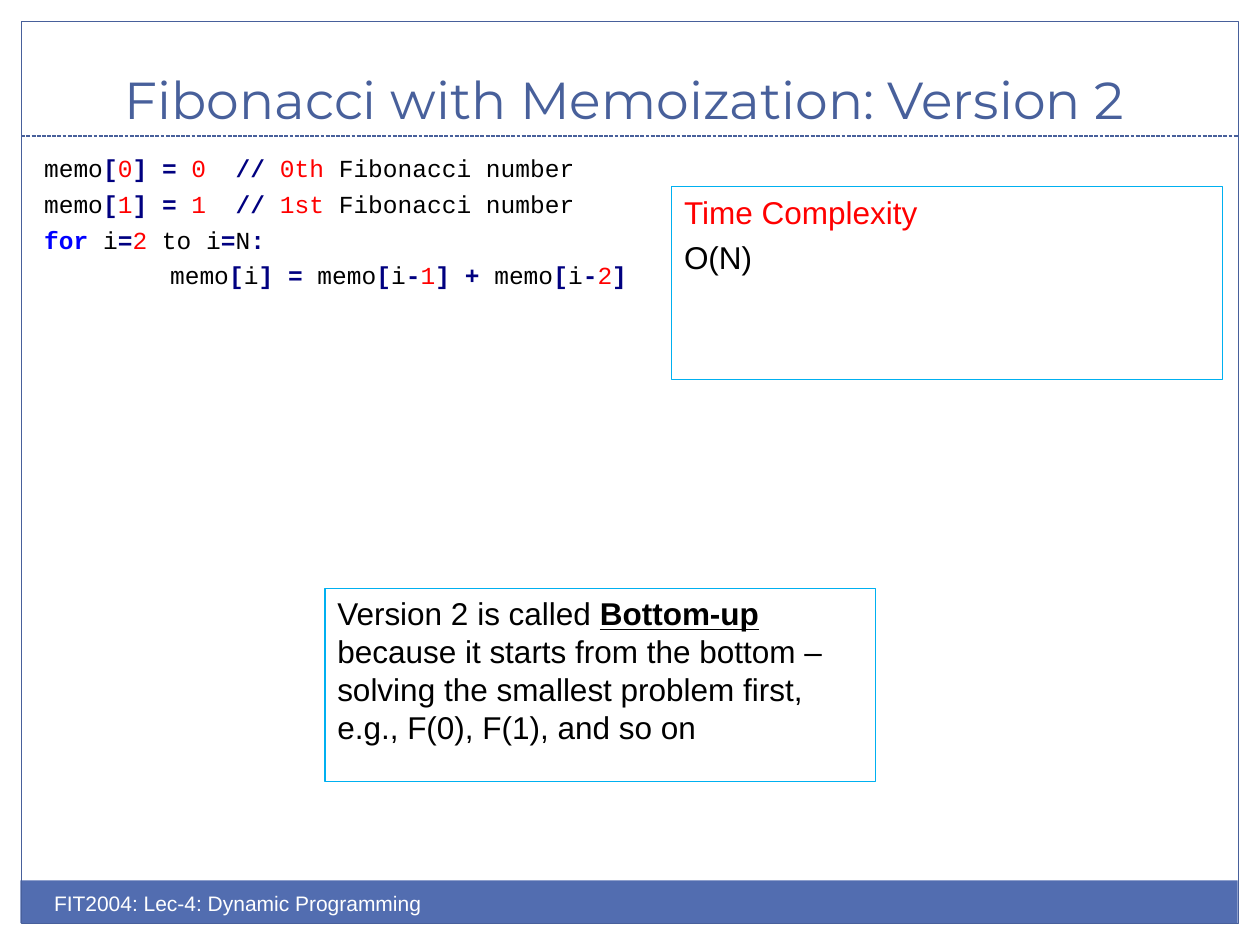
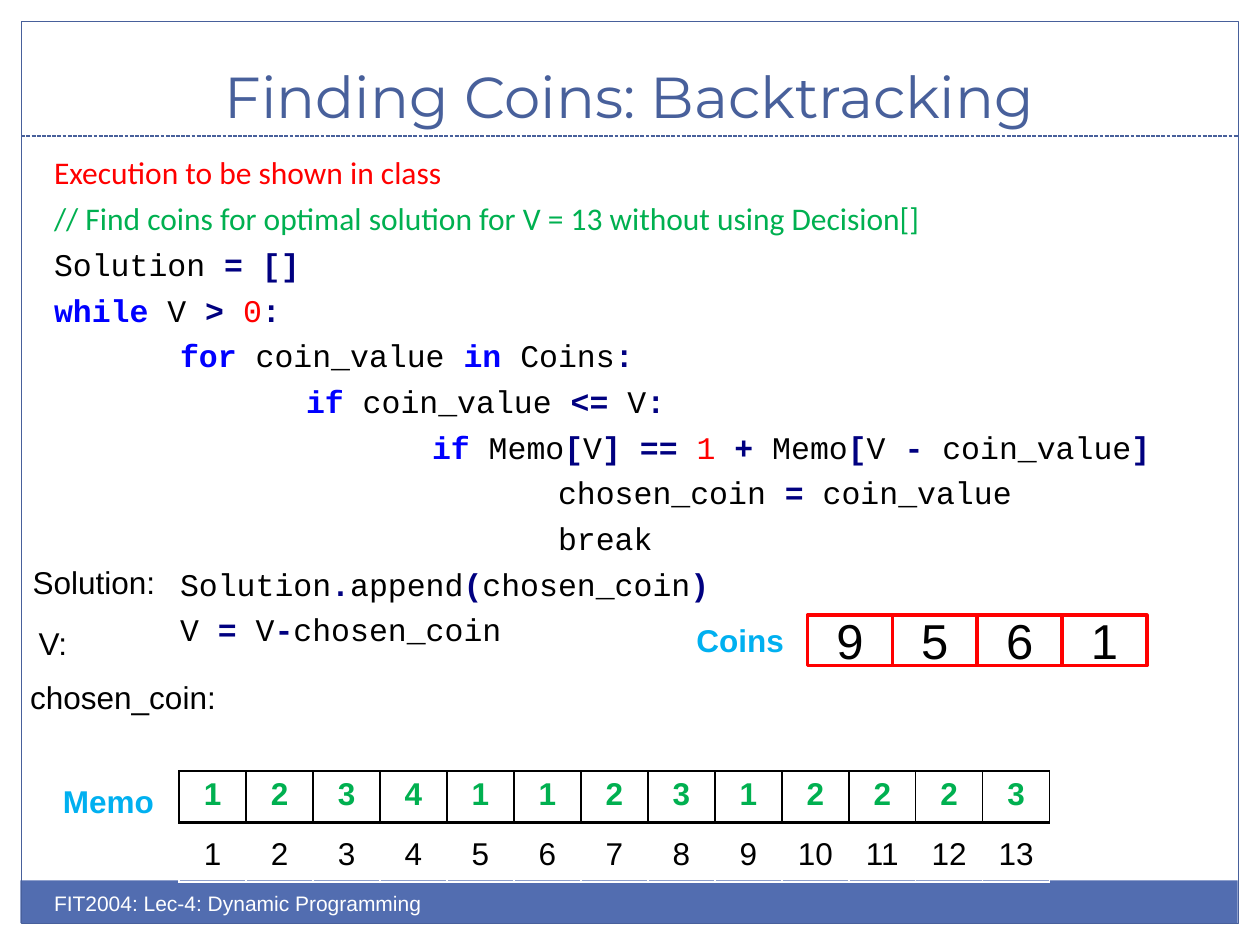
from itertools import groupby

from lxml.etree import SubElement
from pptx import Presentation
from pptx.dml.color import RGBColor
from pptx.enum.dml import MSO_LINE_DASH_STYLE as Dash
from pptx.enum.shapes import MSO_CONNECTOR as Connector, MSO_SHAPE as Shape
from pptx.enum.text import MSO_ANCHOR as Anchor, PP_ALIGN as Align
from pptx.oxml.ns import qn
from pptx.util import Cm, Pt

COLORS = {
    "band": "526DB0", "frame": "48609B", "white": "FFFFFF", "black": "000000",
    "operator": "000080", "keyword": "0000FF", "red": "FF0000",
    "green": "00B050", "cyan": "00B0F0",
}
KEYWORDS = {"for", "while", "in", "if"}
GAP = 0.25

BODY = {"name": "Arial", "size": Pt(18), "color": "black"}
ALERT = BODY | {"color": "red"}
STRONG = BODY | {"bold": True, "underline": True}
LABEL = BODY | {"color": "cyan", "bold": True}
MEMO = BODY | {"color": "green", "bold": True}
COIN = BODY | {"size": Pt(28)}
FOOTER = BODY | {"size": Pt(12), "color": "white"}
TITLE = {"name": "Montserrat", "color": "frame"}
REMARK = {"name": "Calibri", "size": Pt(18)}
CODE = {"name": "Courier New", "color": "black"}

FIBONACCI = [
    (0, "memo[0] = 0  // 0th Fibonacci number"),
    (0, "memo[1] = 1  // 1st Fibonacci number"),
    (0, "for i=2 to i=N:"),
    (1, "memo[i] = memo[i-1] + memo[i-2]"),
]
BACKTRACKING = [
    (0, "Solution = []"),
    (0, "while V > 0:"),
    (1, "for coin_value in Coins:"),
    (2, "if coin_value <= V:"),
    (3, "if Memo[V] == 1 + Memo[V - coin_value]"),
    (4, "chosen_coin = coin_value"),
    (4, "break"),
    (1, "Solution.append(chosen_coin)"),
    (1, "V = V-chosen_coin"),
]
REMARKS = [
    ("Execution to be shown in class", "red"),
    ("// Find coins for optimal solution for V = 13 without using Decision[]", "green"),
]
COINS = [9, 5, 6, 1]
MEMO_VALUES = [1, 2, 3, 4, 1, 1, 2, 3, 1, 2, 2, 2, 3]
LABELS = [
    ("Memo", LABEL, 1.02, 15.65, 2.45),
    ("Coins", LABEL, 13.79, 12.4, 2.4),
    ("Solution:", BODY, 0.41, 11.23, 3.2),
    ("V:", BODY, 0.53, 12.45, 1.3),
    ("chosen_coin:", BODY, 0.36, 13.54, 4.4),
]


def rgb(name):
    return RGBColor.from_string(COLORS[name])


def box(*lengths):
    return [Cm(length) for length in lengths]


def add_runs(paragraph, runs):
    for text, style in runs:
        run = paragraph.add_run()
        run.text = text
        for attribute, value in style.items():
            if attribute == "color":
                run.font.color.rgb = rgb(value)
            else:
                setattr(run.font, attribute, value)


def write(frame, lines, align=Align.LEFT, anchor=Anchor.TOP):
    frame.word_wrap = True
    frame.vertical_anchor = anchor
    for number, (depth, runs) in enumerate(lines):
        paragraph = frame.add_paragraph() if number else frame.paragraphs[0]
        paragraph.alignment = align
        if number:
            paragraph.space_before = Pt(runs[0][1]["size"].pt * GAP)
        if depth:
            paragraph._p.get_or_add_pPr().set("marL", str(Cm(2.54 * depth)))
        add_runs(paragraph, runs)


def add_text(slide, place, lines, **layout):
    write(slide.shapes.add_textbox(*box(*place)).text_frame, lines, **layout)


def add_rectangle(slide, place, fill=None, line=None, width=0.75):
    rectangle = slide.shapes.add_shape(Shape.RECTANGLE, *box(*place))
    rectangle.shadow.inherit = False
    for part, color in ((rectangle.fill, fill), (rectangle.line.fill, line)):
        if color:
            part.solid()
            part.fore_color.rgb = rgb(color)
        else:
            part.background()
    if line:
        rectangle.line.width = Pt(width)
    return rectangle


def add_note(slide, left, top, lines):
    note = add_rectangle(slide, (left, top, 11.1, 3.89), line="cyan")
    write(note.text_frame, lines)


def token_kind(char):
    if char.isspace():
        return "space"
    return "word" if char.isalnum() or char == "_" else "operator"


def token_style(kind, token):
    if kind == "operator":
        return {"color": "operator", "bold": True}
    if token in KEYWORDS:
        return {"color": "keyword", "bold": True}
    return {"color": "red"} if token[0].isdigit() else {}


def code_lines(code, size):
    lines = []
    for depth, source in code:
        tokens = [(kind, "".join(chars)) for kind, chars in groupby(source, token_kind)]
        base = CODE | {"size": Pt(size)}
        lines.append((depth, [(token, base | token_style(kind, token))
                              for kind, token in tokens]))
    return lines


def add_border(cell):
    properties = cell._tc.get_or_add_tcPr()
    for side, width in (("L", 1), ("R", 1), ("T", 1), ("B", 2)):
        line = SubElement(properties, qn(f"a:ln{side}"), w=str(Pt(width)))
        fill = SubElement(line, qn("a:solidFill"))
        SubElement(fill, qn("a:srgbClr"), val=COLORS["black"])


def add_row(slide, top, values, style, bordered=False):
    count = len(values)
    place = box(3.61, top, 1.35 * count, 1.04)
    table = slide.shapes.add_table(1, count, *place).table
    table.first_row = table.horz_banding = False
    for column, value in enumerate(values):
        table.columns[column].width = Cm(1.35)
        cell = table.cell(0, column)
        if bordered:
            add_border(cell)
        cell.fill.background()
        write(cell.text_frame, [(0, [(str(value), style)])], align=Align.CENTER)


def add_coins(slide):
    for number, coin in enumerate(COINS):
        place = (16.28 + 1.71 * number, 12.4, 1.71, 1.02)
        square = add_rectangle(slide, place, line="red", width=2)
        write(square.text_frame, [(0, [(str(coin), COIN)])],
              align=Align.CENTER, anchor=Anchor.MIDDLE)


def add_slide(deck, title, title_size, title_left, title_width):
    slide = deck.slides.add_slide(deck.slide_layouts[6])
    add_rectangle(slide, (0.41, 17.75, 24.54, 0.86), fill="band")
    add_rectangle(slide, (0.43, 0.43, 24.54, 18.19), line="frame")
    rule = slide.shapes.add_connector(Connector.STRAIGHT, *box(0.43, 2.74, 24.97, 2.74))
    rule.line.color.rgb = rgb("frame")
    rule.line.width = Pt(0.75)
    rule.line.dash_style = Dash.SQUARE_DOT
    SubElement(rule._element.spPr, qn("a:effectLst"))
    add_text(slide, (title_left, 0.64, title_width, 2.11),
             [(0, [(title, TITLE | {"size": Pt(title_size)})])],
             align=Align.CENTER, anchor=Anchor.BOTTOM)
    add_text(slide, (0.84, 17.82, 12.7, 1.02),
             [(0, [("FIT2004: Lec-4: Dynamic Programming", FOOTER)])])
    return slide


def add_fibonacci_slide(deck):
    slide = add_slide(deck, "Fibonacci with Memoization: Version 2", 29.7, 0.2, 24.79)
    add_text(slide, (0.64, 2.97, 13.97, 5.08), code_lines(FIBONACCI, 14))
    add_note(slide, 6.55, 11.86, [(0, [
        ("Version 2 is called ", BODY),
        ("Bottom-up", STRONG),
        (" because it starts from the bottom – solving the smallest problem first, "
         "e.g., F(0), F(1), and so on", BODY),
    ])])
    add_note(slide, 13.54, 3.76, [(0, [("Time Complexity", ALERT)]), (0, [("O(N)", BODY)])])


def add_backtracking_slide(deck):
    slide = add_slide(deck, "Finding Coins: Backtracking", 33, 0.84, 23.7)
    remarks = [(0, [(text, REMARK | {"color": color})]) for text, color in REMARKS]
    add_text(slide, (0.84, 2.97, 23.72, 10.2), remarks + code_lines(BACKTRACKING, 18))
    add_row(slide, 15.54, MEMO_VALUES, MEMO, bordered=True)
    add_row(slide, 16.74, range(1, len(MEMO_VALUES) + 1), BODY)
    add_coins(slide)
    for text, style, left, top, width in LABELS:
        add_text(slide, (left, top, width, 1.02), [(0, [(text, style)])])


def main():
    deck = Presentation()
    deck.slide_width, deck.slide_height = box(25.4, 19.05)
    add_fibonacci_slide(deck)
    add_backtracking_slide(deck)
    deck.save("out.pptx")


if __name__ == "__main__":
    main()
